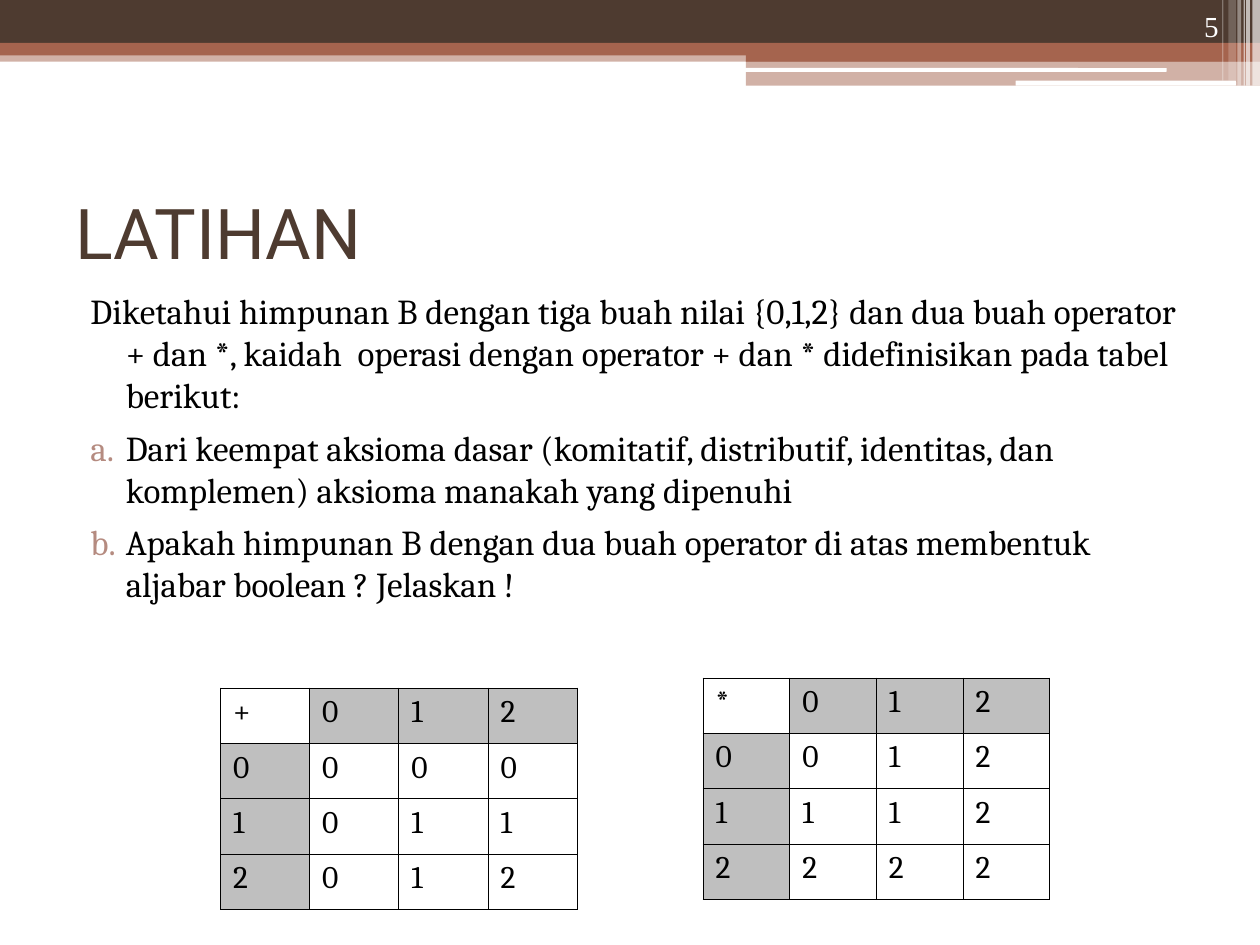
from lxml import etree
from pptx import Presentation
from pptx import util as u
from pptx.dml.color import RGBColor
from pptx.enum import shapes, text
from pptx.oxml.ns import qn

DARK, RUST, WHITE, BLACK, GREY = "4E3B30", "A5644E", "FFFFFF", "000000", "BFBFBF"


def color(value):
    return RGBColor.from_string(value)


def write(p, words, **fmt):
    """Add a run to a paragraph and set its font from format values."""
    r = p.add_run()
    r.text = words
    r.font.color.rgb = color(fmt.pop("rgb"))
    for key, value in fmt.items():
        setattr(r.font, key, value)


prs = Presentation()
prs.slide_width, prs.slide_height = u.Inches(10), u.Inches(7.5)
s = prs.slides.add_slide(prs.slide_layouts[6])

# Header bands and stripes: left, top, width, height, fill, opacity, rounded
RECT, ROUND = shapes.MSO_SHAPE.RECTANGLE, shapes.MSO_SHAPE.ROUNDED_RECTANGLE
bands = [
    (0, 0.4, 10, 0.09, RUST, 50, RECT),
    (0, 0, 10, 0.34, DARK, 100, RECT),
    (0, 0.34, 10, 0.1, RUST, 100, RECT),
    (5.92, 0.39, 4.08, 0.1, RUST, 100, RECT),
    (5.92, 0.48, 4.08, 0.2, RUST, 50, RECT),
    (5.91, 0.54, 3.35, 0.03, WHITE, 100, ROUND),
    (8.06, 0.64, 1.75, 0.04, WHITE, 100, ROUND),
    (9.94, 0, 0.06, 0.68, WHITE, 65, RECT),
    (9.89, 0, 0.03, 0.68, WHITE, 65, RECT),
    (9.87, 0, 0.01, 0.68, WHITE, 60, RECT),
    (9.82, 0, 0.03, 0.68, WHITE, 40, RECT),
    (9.75, 0, 0.06, 0.64, WHITE, 20, RECT),
    (9.7, 0, 0.01, 0.64, WHITE, 30, RECT),
]
for *box, fill, opacity, kind in bands:
    sp = s.shapes.add_shape(kind, *map(u.Inches, box))
    sp.shadow.inherit = False
    sp.line.fill.background()
    sp.fill.solid()
    sp.fill.fore_color.rgb = color(fill)
    if opacity < 100:
        clr = sp.fill._xPr.find(".//" + qn("a:srgbClr"))
        etree.SubElement(clr, qn("a:alpha"), val=str(opacity * 1000))

# Text boxes for title, body and page number
frames = []
for box, anchor in [
    ((0.5, 1.25, 9, 1.17), text.MSO_ANCHOR.MIDDLE),
    ((0.5, 2.25, 9, 4.94), text.MSO_ANCHOR.TOP),
    ((8.94, 0, 0.83, 0.4), text.MSO_ANCHOR.BOTTOM),
]:
    tf = s.shapes.add_textbox(*map(u.Inches, box)).text_frame
    tf.word_wrap = True
    tf.vertical_anchor = anchor
    frames.append(tf)
title, body, number = frames

write(title.paragraphs[0], "LATIHAN", size=u.Pt(40), name="Roboto", rgb=DARK)

p = number.paragraphs[0]
p.alignment = text.PP_ALIGN.RIGHT
p.line_spacing = 0.9
write(p, "5", size=u.Pt(16.6), name="Times New Roman", rgb=WHITE)

# Body: an introduction followed by lettered questions
lines = [
    "Diketahui himpunan B dengan tiga buah nilai {0,1,2} dan dua buah operator + dan *, "
    "kaidah  operasi dengan operator + dan * didefinisikan pada tabel berikut:",
    "Dari keempat aksioma dasar (komitatif, distributif, identitas, dan komplemen) "
    "aksioma manakah yang dipenuhi",
    "Apakah himpunan B dengan dua buah operator di atas membentuk aljabar boolean ? Jelaskan !",
]
for i, line in enumerate(lines):
    p = body.add_paragraph() if i else body.paragraphs[0]
    pPr = p._p.get_or_add_pPr()
    pPr.set("marL", str(u.Inches(0.4)))
    pPr.set("indent", str(u.Inches(-0.28)))
    if i:
        clr = etree.SubElement(pPr, qn("a:buClr"))
        etree.SubElement(clr, qn("a:srgbClr"), val="B58B80")
        etree.SubElement(pPr, qn("a:buAutoNum"), type="alphaLcPeriod")
    p.space_after = u.Pt(6)
    write(p, line, size=u.Pt(20), name="Cambria", rgb=BLACK)

# Operation tables: left, top, width, rows of values
ROW_HEIGHT = 0.44
tables = [
    (1.75, 5.46, 2.83, ["+012", "0000", "1011", "2012"]),
    (5.58, 5.38, 2.75, ["*012", "0012", "1112", "2222"]),
]
for left, top, width, rows in tables:
    box = left, top, width, ROW_HEIGHT * len(rows)
    table = s.shapes.add_table(len(rows), len(rows[0]), *map(u.Inches, box)).table
    table.first_row = table.horz_banding = False
    for i, row in enumerate(rows):
        for j, value in enumerate(row):
            cell = table.cell(i, j)
            write(cell.text_frame.paragraphs[0], value,
                  size=u.Pt(18), name="Cambria", rgb=BLACK)
            tcPr = cell._tc.get_or_add_tcPr()
            for side in ("a:lnL", "a:lnR", "a:lnT", "a:lnB"):
                ln = etree.SubElement(tcPr, qn(side), w=str(u.Pt(0.45)))
                solid = etree.SubElement(ln, qn("a:solidFill"))
                etree.SubElement(solid, qn("a:srgbClr"), val=BLACK)
            # Shade the operand headings, but not the operator corner
            if (i == 0) != (j == 0):
                cell.fill.solid()
                cell.fill.fore_color.rgb = color(GREY)
            else:
                cell.fill.background()

prs.save("out.pptx")
